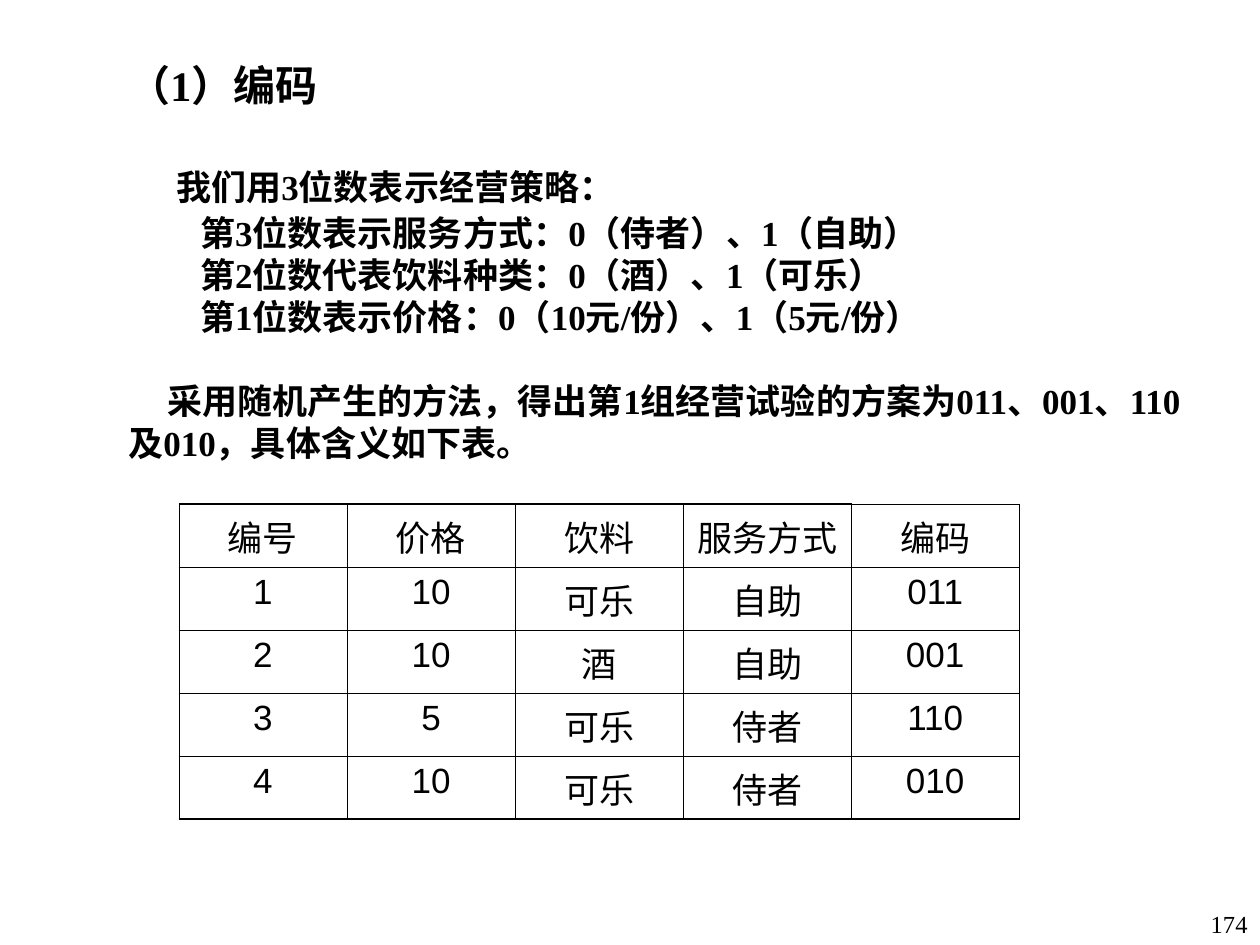
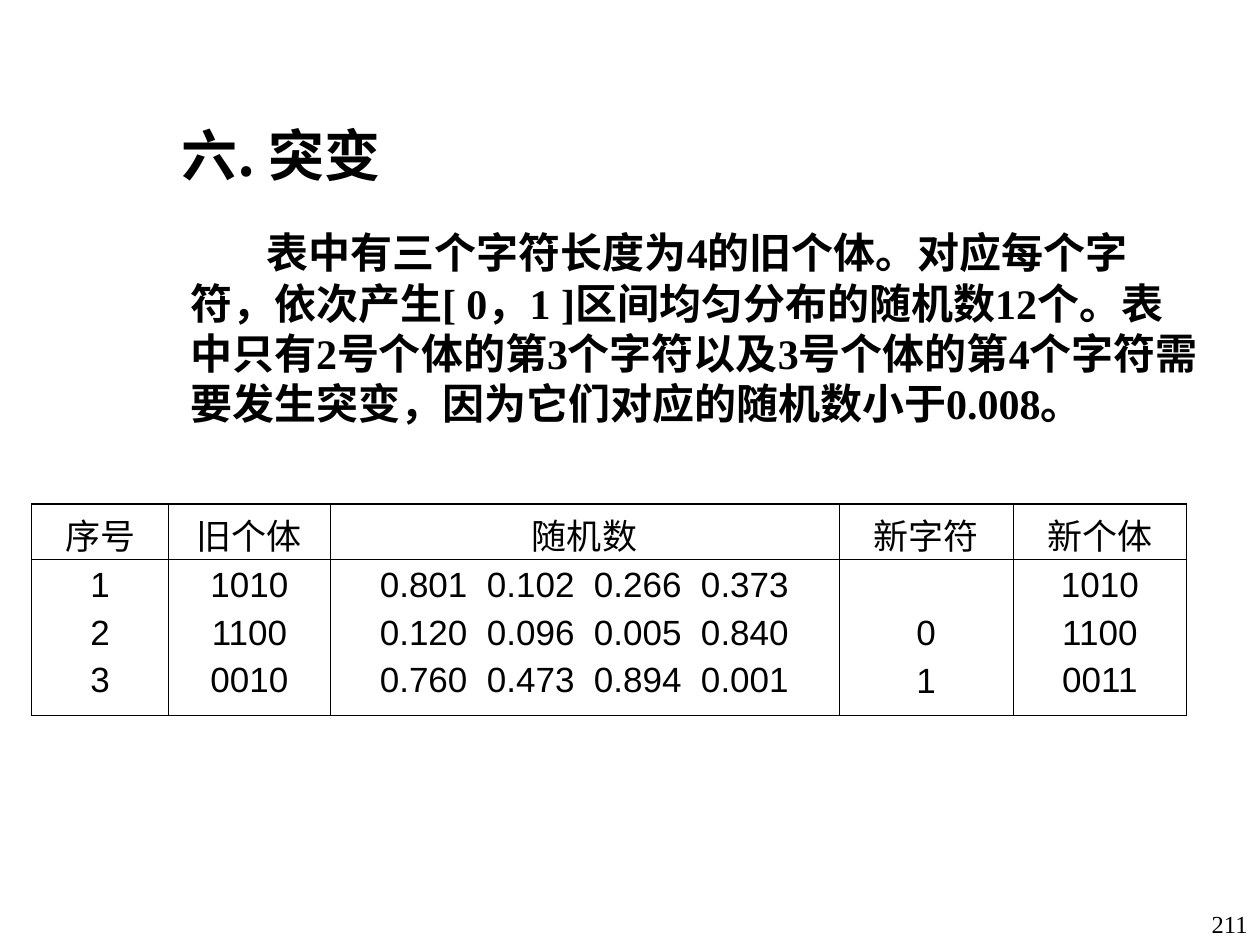
from lxml import etree
from pptx import Presentation
from pptx import util as u
from pptx.dml.color import RGBColor
from pptx.enum import text as t
from pptx.oxml import ns

BLACK = RGBColor(0, 0, 0)
SERIF, SANS, HAN = "Times New Roman", "Arial", "Noto Sans CJK SC"
LINE_HEIGHT = 1.2
THIN, THICK = u.Pt(0.45), u.Pt(1.08)
TABLE_TOP = 4


def write(para, text, size=20, font=SERIF, bold=False, align=t.PP_ALIGN.LEFT,
          before=0, exact=False, left=0, first=0):
    para.alignment = align
    para.space_before = u.Pt(before)
    if exact:
        para.line_spacing = u.Pt(size * LINE_HEIGHT)
    props = para._p.get_or_add_pPr()
    props.set("marL", str(u.Inches(left)))
    props.set("indent", str(u.Inches(first)))
    props.set("hangingPunct", "0")
    span = para.add_run()
    span.text = text
    span.font.size = u.Pt(size)
    span.font.bold = bold
    span.font.name = font
    span.font.color.rgb = BLACK
    etree.SubElement(span._r.get_or_add_rPr(), ns.qn("a:ea"), typeface=HAN)


def fill_frame(frame, lines, **shared):
    for index, (text, special) in enumerate(lines):
        para = frame.paragraphs[0] if index == 0 else frame.add_paragraph()
        write(para, text, **{**shared, **special})


def add_text(page, left, top, width, height, lines, anchor=t.MSO_ANCHOR.TOP, **shared):
    box = page.shapes.add_textbox(*map(u.Inches, (left, top, width, height)))
    box.text_frame.word_wrap = True
    box.text_frame.vertical_anchor = anchor
    fill_frame(box.text_frame, lines, **shared)


def add_page(deck, number):
    page = deck.slides.add_slide(deck.slide_layouts[6])
    add_text(page, 9.5, 7, 0.5, 0.5, [(number, {})], size=14,
             align=t.PP_ALIGN.RIGHT, anchor=t.MSO_ANCHOR.BOTTOM)
    return page


def set_borders(cell, **widths):
    props = cell._tc.get_or_add_tcPr()
    for index, (side, width) in enumerate(widths.items()):
        line = etree.Element(ns.qn("a:ln" + side), w=str(int(width)))
        fill = etree.SubElement(line, ns.qn("a:solidFill"))
        etree.SubElement(fill, ns.qn("a:srgbClr"), val=str(BLACK))
        props.insert(index, line)


def add_grid(page, left, widths, heights, rows, last_top=THICK, bottom=THICK):
    table = page.shapes.add_table(
        len(rows), len(widths), u.Inches(left), u.Inches(TABLE_TOP),
        u.Inches(sum(widths)), u.Inches(sum(heights))).table
    table.first_row = table.horz_banding = False
    for column, width in zip(table.columns, widths):
        column.width = u.Inches(width)
    for row, height in zip(table.rows, heights):
        row.height = u.Inches(height)
    last_row, last_column = len(rows) - 1, len(widths) - 1
    for r, values in enumerate(rows):
        for c, text in enumerate(values):
            cell = table.cell(r, c)
            cell.fill.background()
            cell.margin_top = u.Inches(min(0.05, heights[r] - 0.4))
            cell.margin_bottom = 0
            lines = [(line, {"before": 5 if index else 0})
                     for index, line in enumerate(text.split("\n"))]
            fill_frame(cell.text_frame, lines, font=SANS, align=t.PP_ALIGN.CENTER)
            top = last_top if c == last_column else THICK
            set_borders(cell, L=THIN, R=THIN,
                        T=top if r == 0 else THIN,
                        B=bottom if r == last_row else THIN)
    return table


def build_coding(deck):
    page = add_page(deck, "174")
    digit = {"left": 0.57}
    add_text(page, 0.92, 0.42, 8.67, 3.3, [
        ("（1）编码", {"size": 24}),
        ("我们用3位数表示经营策略：", {"left": 0.38, "before": 32}),
        ("第3位数表示服务方式：0（侍者）、1（自助）", {**digit, "before": 2}),
        ("第2位数代表饮料种类：0（酒）、1（可乐）", digit),
        ("第1位数表示价格：0（10元/份）、1（5元/份）", digit),
        ("采用随机产生的方法，得出第1组经营试验的方案为011、001、110及010，具体含义如下表。",
         {"first": 0.31, "before": 24}),
    ], bold=True, exact=True)
    rows = [
        ("编号", "价格", "饮料", "服务方式", "编码"),
        ("1", "10", "可乐", "自助", "011"),
        ("2", "10", "酒", "自助", "001"),
        ("3", "5", "可乐", "侍者", "110"),
        ("4", "10", "可乐", "侍者", "010"),
    ]
    add_grid(page, 1.42, [6.67 / 5] * 5, [0.5] * 5, rows, last_top=THIN)


def build_mutation(deck):
    page = add_page(deck, "211")
    add_text(page, 1.34, 0.91, 5.58, 0.64, [("六. 突变", {})],
             size=32, font=HAN, bold=True, exact=True)
    add_text(page, 1.41, 1.75, 8.25, 1.7, [(
        "表中有三个字符长度为4的旧个体。对应每个字符，依次产生[ 0，1 ]区间均匀分布的随机数12个。"
        "表中只有2号个体的第3个字符以及3号个体的第4个字符需要发生突变，因为它们对应的随机数小于0.008。",
        {"first": 0.61})], size=24, bold=True, exact=True)
    rows = [
        ("序号", "旧个体", "随机数", "新字符", "新个体"),
        ("1\n2\n3", "1010\n1100\n0010",
         "0.801  0.102  0.266  0.373\n0.120  0.096  0.005  0.840\n0.760  0.473  0.894  0.001",
         "0\n1", "1010\n1100\n0011"),
    ]
    table = add_grid(page, 0.25, [1.09, 1.28, 4.04, 1.38, 1.38], [0.44, 1.24], rows,
                     bottom=THIN)
    table.cell(1, 3).margin_top = u.Inches(0.43)


def main():
    deck = Presentation()
    deck.slide_width, deck.slide_height = u.Inches(10), u.Inches(7.5)
    build_coding(deck)
    build_mutation(deck)
    deck.save("out.pptx")


if __name__ == "__main__":
    main()
